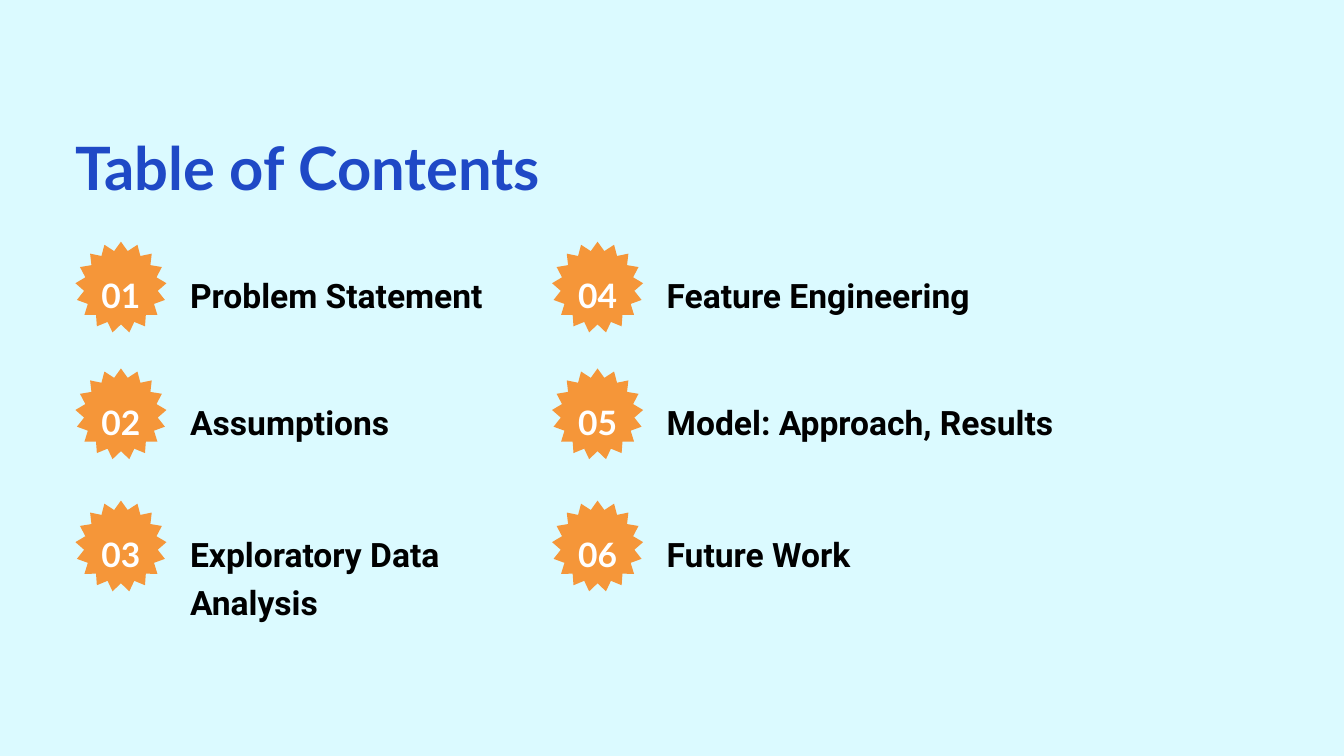
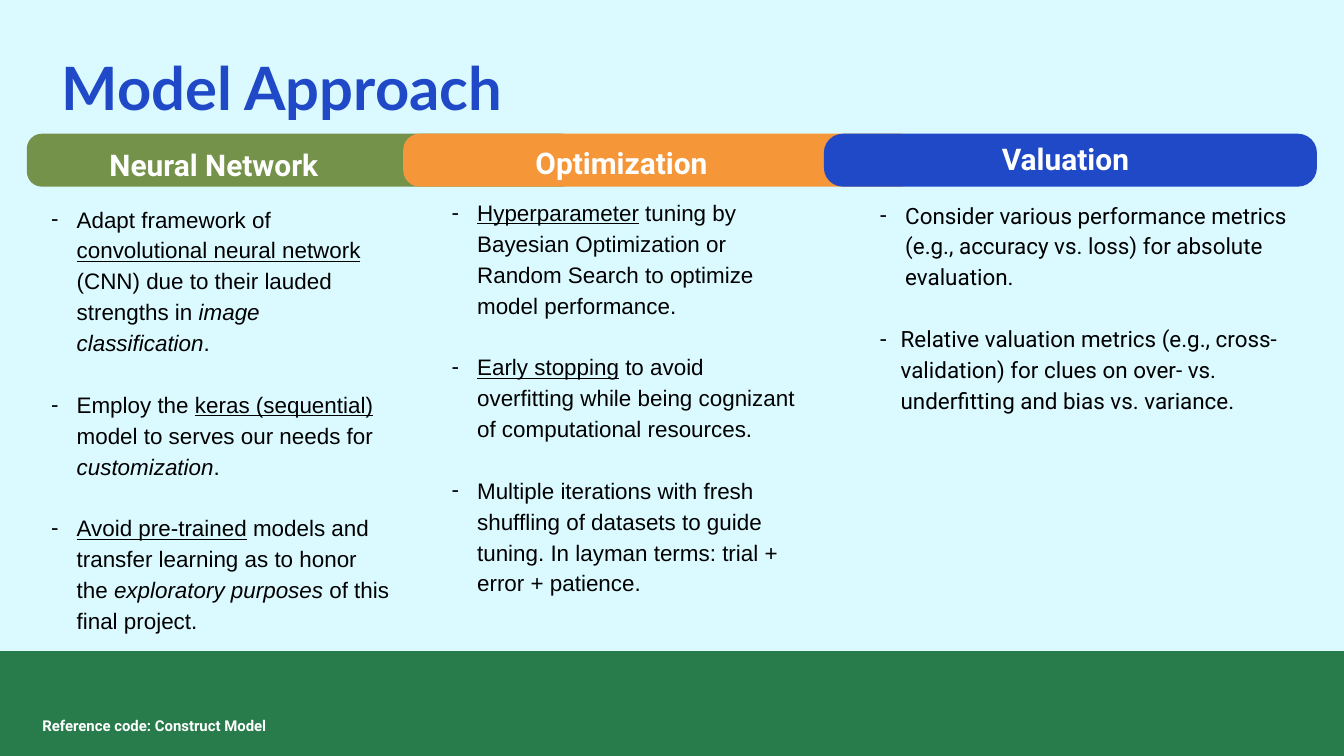
import math

from lxml import etree
from pptx import Presentation
from pptx import util as u
from pptx.dml.color import RGBColor
from pptx.enum import shapes, text
from pptx.oxml.ns import qn

SKY = RGBColor(0xDB, 0xFA, 0xFF)
BLUE = RGBColor(0x1F, 0x49, 0xC6)
ORANGE = RGBColor(0xF5, 0x96, 0x39)
OLIVE = RGBColor(0x75, 0x92, 0x4B)
GREEN = RGBColor(0x28, 0x7C, 0x4C)
BLACK = RGBColor(0, 0, 0)
WHITE = RGBColor(0xFF, 0xFF, 0xFF)

WIDTH, HEIGHT = 1440, 810
TITLE_ONLY, COMPARISON = 5, 4
BADGE_RADIUS, BADGE_INNER_RADIUS, BADGE_POINTS = 49, 39.6, 17
LIST_GAP = 33

CONTENTS = ["Problem Statement", "Assumptions", "Exploratory Data Analysis",
            "Feature Engineering", "Model: Approach, Results", "Future Work"]
ROW_TOPS = [259, 394.8, 536.4]
COLUMN_CENTERS = [129.6, 640.3]

# Bar: left, width, corner, colour. Heading: text and box.
BARS = [
    (28.8, 589, 0.28, OLIVE, "Neural Network", (19.4, 149, 419.8, 47)),
    (432, 550.8, 0.31, ORANGE, "Optimization", (510.5, 146.9, 311, 47)),
    (882.7, 528.3, 0.36, BLUE, "Valuation", (1017.4, 143.3, 248.4, 47)),
]

# Each list: box, font, items. Each item: indent, runs of (words, style).
LISTS = [
    ((54.7, 216, 364.3, 468), "Arial", [
        (27.4, [("Adapt framework of ", ""), ("convolutional neural network ", "u"),
                ("(CNN) due to their lauded strengths in ", ""),
                ("image classification", "i"), (".", "")]),
        (27.4, [("Employ the ", ""), ("keras (sequential) ", "u"),
                ("model to serves our needs for ", ""),
                ("customization", "i"), (".", "")]),
        (27.4, [("Avoid pre-trained", "u"),
                (" models and transfer learning as to honor the ", ""),
                ("exploratory purposes", "i"), (" of this final project.", "")]),
    ]),
    ((483.8, 208.8, 378, 470), "Arial", [
        (27.4, [("Hyperparameter", "u"),
                (" tuning by Bayesian Optimization or Random Search "
                 "to optimize model performance.", "")]),
        (27.4, [("Early stopping", "u"),
                (" to avoid overfitting while being cognizant "
                 "of computational resources.", "")]),
        (27.4, [("Multiple iterations with fresh shuffling of datasets to guide "
                 "tuning. In layman terms: trial + error + patience.", "")]),
    ]),
    ((942.5, 211.7, 442.8, 387), "Roboto", [
        (27.4, [("Consider various performance metrics (e.g., accuracy vs. loss) "
                 "for absolute evaluation.", "")]),
        (22.5, [("Relative valuation metrics (e.g., cross-validation) for clues "
                 "on over- vs. underfitting and bias vs. variance.", "")]),
    ]),
]


class Deck:
    """Holds the presentation, the shared style and the current slide."""

    def __init__(self):
        self.presentation = Presentation()
        self.presentation.slide_width = u.Pt(WIDTH)
        self.presentation.slide_height = u.Pt(HEIGHT)
        self.slide = None

    def new_slide(self, layout):
        layouts = self.presentation.slide_layouts
        self.slide = self.presentation.slides.add_slide(layouts[layout])
        fill = self.slide.background.fill
        fill.solid()
        fill.fore_color.rgb = SKY

    def place(self, shape, box):
        """Move a text shape to box and give it a plain, top-aligned frame."""
        shape.left, shape.top, shape.width, shape.height = map(u.Pt, box)
        frame = shape.text_frame
        frame.margin_left = frame.margin_top = 0
        frame.margin_right = frame.margin_bottom = 0
        frame.word_wrap = True
        frame.auto_size = text.MSO_AUTO_SIZE.NONE
        frame.vertical_anchor = text.MSO_ANCHOR.TOP
        return frame

    def format_runs(self, paragraph, font, size, color, bold):
        for run in paragraph.runs:
            run.font.name = font
            run.font.size = u.Pt(size)
            run.font.color.rgb = color
            run.font.bold = bold

    def set_line(self, shape, box, words, size, font="Roboto", color=WHITE,
                 align=text.PP_ALIGN.LEFT, spacing=1.2):
        """Fill a text shape with one bold paragraph."""
        frame = self.place(shape, box)
        frame.text = words
        paragraph = frame.paragraphs[0]
        paragraph.alignment = align
        paragraph.line_spacing = spacing
        self.format_runs(paragraph, font, size, color, True)

    def title(self, words, box):
        self.set_line(self.slide.shapes.title, box, words, 64, "Lato", BLUE)

    def label(self, words, box, size, **style):
        shape = self.slide.shapes.add_textbox(*map(u.Pt, box))
        self.set_line(shape, box, words, size, **style)

    def bullets(self, placeholder, box, font, items):
        frame = self.place(placeholder, box)
        for number, (indent, runs) in enumerate(items):
            paragraph = frame.add_paragraph() if number else frame.paragraphs[0]
            paragraph.alignment = text.PP_ALIGN.LEFT
            paragraph.line_spacing = 1.15
            paragraph.space_before = u.Pt(LIST_GAP if number else 0)
            paragraph.space_after = u.Pt(0)
            for words, style in runs:
                run = paragraph.add_run()
                run.text = words
                run.font.underline = style == "u"
                run.font.italic = style == "i"
            self.format_runs(paragraph, font, 24, BLACK, False)
            self.dash(paragraph, indent)

    def dash(self, paragraph, indent):
        """Hang a black dash in front of the paragraph."""
        properties = paragraph._p.get_or_add_pPr()
        properties.set("marL", str(u.Pt(indent)))
        properties.set("indent", str(-u.Pt(indent)))
        color = etree.SubElement(properties, qn("a:buClr"))
        etree.SubElement(color, qn("a:srgbClr")).set("val", str(BLACK))
        etree.SubElement(properties, qn("a:buChar")).set("char", "-")

    def paint(self, shape, color):
        shape.shadow.inherit = False
        shape.fill.solid()
        shape.fill.fore_color.rgb = color
        shape.line.fill.background()

    def bar(self, box, color, corner=0):
        kind = shapes.MSO_SHAPE.ROUNDED_RECTANGLE if corner else shapes.MSO_SHAPE.RECTANGLE
        shape = self.slide.shapes.add_shape(kind, *map(u.Pt, box))
        if corner:
            shape.adjustments[0] = corner
        self.paint(shape, color)

    def badge(self, center, top, words):
        """Draw a star-edged badge with a number in it."""
        points = []
        for step in range(2 * BADGE_POINTS):
            radius = BADGE_INNER_RADIUS if step % 2 else BADGE_RADIUS
            angle = math.pi * step / BADGE_POINTS
            points.append((u.Pt(center + radius * math.sin(angle)),
                           u.Pt(top + BADGE_RADIUS - radius * math.cos(angle))))
        builder = self.slide.shapes.build_freeform(*points[0])
        builder.add_line_segments(points[1:], close=True)
        self.paint(builder.convert_to_shape(), ORANGE)
        self.label(words, (center - 64, top + 27, 128, 52), 36, font="Lato",
                   align=text.PP_ALIGN.CENTER)


def build_contents(deck):
    deck.new_slide(TITLE_ONLY)
    deck.title("Table of Contents", (80.6, 124.6, 609, 78))
    for index, topic in enumerate(CONTENTS):
        column, row = divmod(index, len(ROW_TOPS))
        center, top = COLUMN_CENTERS[column], ROW_TOPS[row]
        deck.badge(center, top, f"{index + 1:02}")
        deck.label(topic, (center + 74, top + 27, 460 if column else 356, 52), 36,
                   color=BLACK)


def build_model_approach(deck):
    deck.new_slide(COMPARISON)
    deck.title("Model Approach", (66.2, 38.9, 1045.4, 93))
    deck.bar((0, 697.7, WIDTH, HEIGHT - 697.7), GREEN)
    for left, width, corner, color, heading, box in BARS:
        deck.bar((left, 143.3, width, 56.7), color, corner)
    for left, width, corner, color, heading, box in BARS:
        deck.label(heading, box, 32, align=text.PP_ALIGN.CENTER)
    title, *bodies = deck.slide.placeholders
    for body, (box, font, items) in zip(bodies, LISTS):
        deck.bullets(body, box, font, items)
    for unused in bodies[len(LISTS):]:
        unused.element.getparent().remove(unused.element)
    deck.label("Reference code: Construct Model", (45.4, 765.4, 591, 22), 16, spacing=1.15)


def main():
    deck = Deck()
    build_contents(deck)
    build_model_approach(deck)
    deck.presentation.save("out.pptx")


if __name__ == "__main__":
    main()
